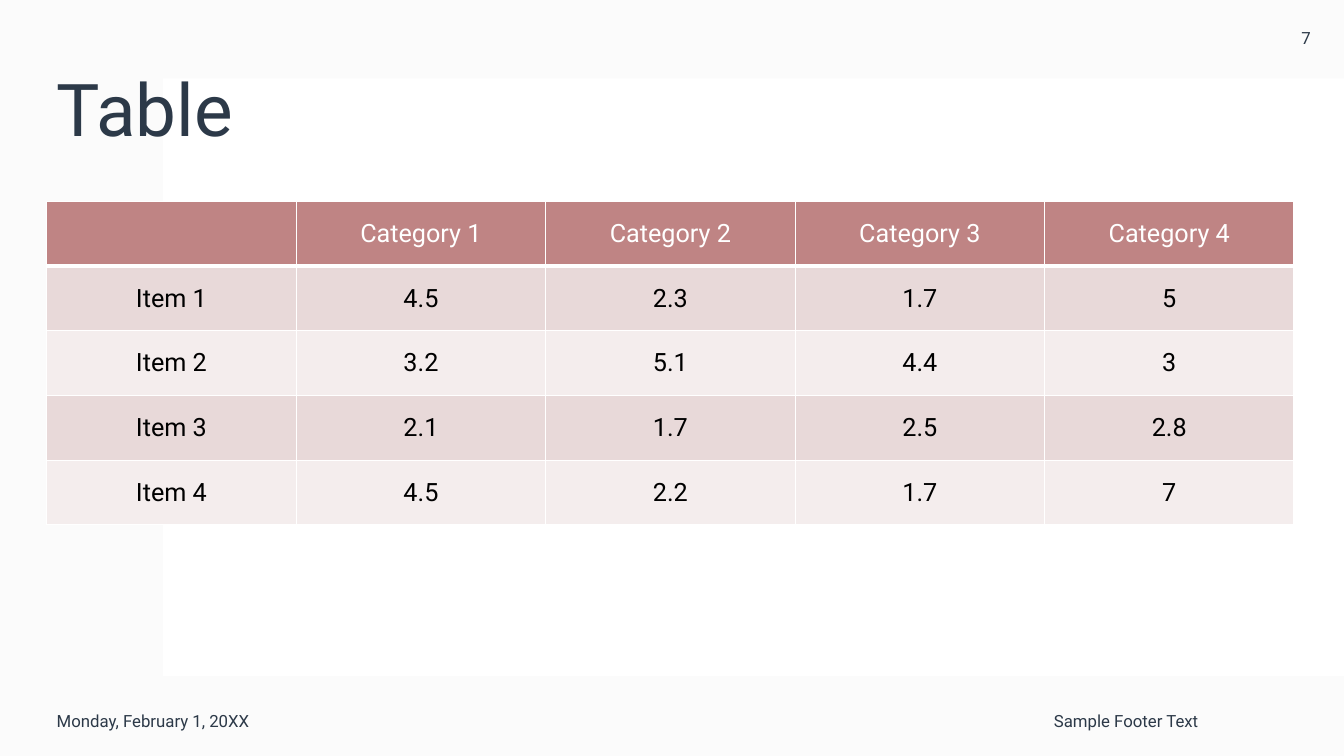
from dataclasses import dataclass

from lxml.etree import SubElement
from pptx import Presentation
from pptx.dml.color import RGBColor
from pptx.enum.shapes import MSO_SHAPE
from pptx.enum.text import MSO_ANCHOR, MSO_AUTO_SIZE, PP_ALIGN
from pptx.oxml.ns import qn
from pptx.slide import Slide
from pptx.table import _Cell
from pptx.text.text import TextFrame
from pptx.util import Pt


@dataclass(frozen=True)
class Theme:
    font: str = "Roboto"
    ink: str = "2C3948"
    black: str = "000000"
    white: str = "FFFFFF"
    mist: str = "F4F4F4"
    rose: str = "BF8484"
    bands: tuple[str, str] = ("E8D9D9", "F4EDED")
    title: float = 52
    body: float = 18
    small: float = 12


@dataclass(frozen=True)
class Box:
    left: float
    top: float
    width: float
    height: float

    def span(self) -> tuple[Pt, Pt, Pt, Pt]:
        return Pt(self.left), Pt(self.top), Pt(self.width), Pt(self.height)


@dataclass(frozen=True)
class Panel:
    box: Box
    color: str
    alpha: int


@dataclass(frozen=True)
class Label:
    box: Box
    text: str
    align: PP_ALIGN


THEME = Theme()
WIDTH, HEIGHT = 960, 540
PANELS = [
    Panel(Box(0, 0, WIDTH, HEIGHT), THEME.mist, 35),
    Panel(Box(116.5, 56, 843.5, 427), THEME.white, 100),
]
TITLE = Label(Box(33.4, 28.8, 830, 104.4), "Table", PP_ALIGN.LEFT)
LABELS = [
    Label(Box(33.4, 489.6, 216, 50.4), "Monday, February 1, 20XX", PP_ALIGN.LEFT),
    Label(Box(296.6, 489.6, 566.6, 50.4), "Sample Footer Text", PP_ALIGN.RIGHT),
    Label(Box(906, 0, 54, 54), "7", PP_ALIGN.CENTER),
]
GRID = Box(33.4, 144, 891, 231)
ROWS = [
    ["", "Category 1", "Category 2", "Category 3", "Category 4"],
    ["Item 1", "4.5", "2.3", "1.7", "5"],
    ["Item 2", "3.2", "5.1", "4.4", "3"],
    ["Item 3", "2.1", "1.7", "2.5", "2.8"],
    ["Item 4", "4.5", "2.2", "1.7", "7"],
]


def write(frame: TextFrame, text: str, size: float, color: str, align: PP_ALIGN) -> None:
    line = frame.paragraphs[0]
    line.alignment = align
    if not text:
        return
    run = line.add_run()
    run.text = text
    run.font.name = THEME.font
    run.font.size = Pt(size)
    run.font.bold = False
    run.font.color.rgb = RGBColor.from_string(color)


def fit(frame: TextFrame) -> None:
    frame.word_wrap = True
    frame.auto_size = MSO_AUTO_SIZE.NONE
    frame.vertical_anchor = MSO_ANCHOR.MIDDLE


def draw_panel(slide: Slide, panel: Panel) -> None:
    shape = slide.shapes.add_shape(MSO_SHAPE.RECTANGLE, *panel.box.span())
    shape.shadow.inherit = False
    shape.line.fill.background()
    shape.fill.solid()
    shape.fill.fore_color.rgb = RGBColor.from_string(panel.color)
    if panel.alpha < 100:
        tint = shape.element.spPr.find(f"{qn('a:solidFill')}/{qn('a:srgbClr')}")
        SubElement(tint, qn("a:alpha"), val=str(panel.alpha * 1000))


def draw_title(slide: Slide, label: Label) -> None:
    title = slide.shapes.title
    title.left, title.top, title.width, title.height = label.box.span()
    fit(title.text_frame)
    write(title.text_frame, label.text, THEME.title, THEME.ink, label.align)
    title.text_frame.paragraphs[0].line_spacing = 0.9
    title.element.getparent().append(title.element)


def draw_label(slide: Slide, label: Label) -> None:
    frame = slide.shapes.add_textbox(*label.box.span()).text_frame
    fit(frame)
    write(frame, label.text, THEME.small, THEME.ink, label.align)


def rule_cell(cell: _Cell, base: float) -> None:
    props = cell._tc.get_or_add_tcPr()
    for side, width in (("L", 1), ("R", 1), ("T", 1), ("B", base)):
        edge = SubElement(props, qn(f"a:ln{side}"), w=str(Pt(width)))
        SubElement(SubElement(edge, qn("a:solidFill")), qn("a:srgbClr"), val=THEME.white)


def draw_table(slide: Slide, box: Box, rows: list[list[str]]) -> None:
    table = slide.shapes.add_table(len(rows), len(rows[0]), *box.span()).table
    table.horz_banding = False
    for column in table.columns:
        column.width = Pt(box.width / len(rows[0]))
    for r, row in enumerate(rows):
        table.rows[r].height = Pt(box.height / len(rows))
        head = r == 0
        fill = THEME.rose if head else THEME.bands[(r - 1) % 2]
        for c, text in enumerate(row):
            cell = table.cell(r, c)
            rule_cell(cell, 3 if head else 1)
            cell.fill.solid()
            cell.fill.fore_color.rgb = RGBColor.from_string(fill)
            cell.vertical_anchor = MSO_ANCHOR.MIDDLE
            color = THEME.white if head else THEME.black
            write(cell.text_frame, text, THEME.body, color, PP_ALIGN.CENTER)


def main() -> None:
    """Build the table slide and save it."""
    deck = Presentation()
    deck.slide_width, deck.slide_height = Pt(WIDTH), Pt(HEIGHT)
    slide = deck.slides.add_slide(deck.slide_layouts[5])
    slide.background.fill.solid()
    slide.background.fill.fore_color.rgb = RGBColor.from_string(THEME.white)
    for panel in PANELS:
        draw_panel(slide, panel)
    draw_title(slide, TITLE)
    for label in LABELS:
        draw_label(slide, label)
    draw_table(slide, GRID, ROWS)
    deck.save("out.pptx")


if __name__ == "__main__":
    main()
